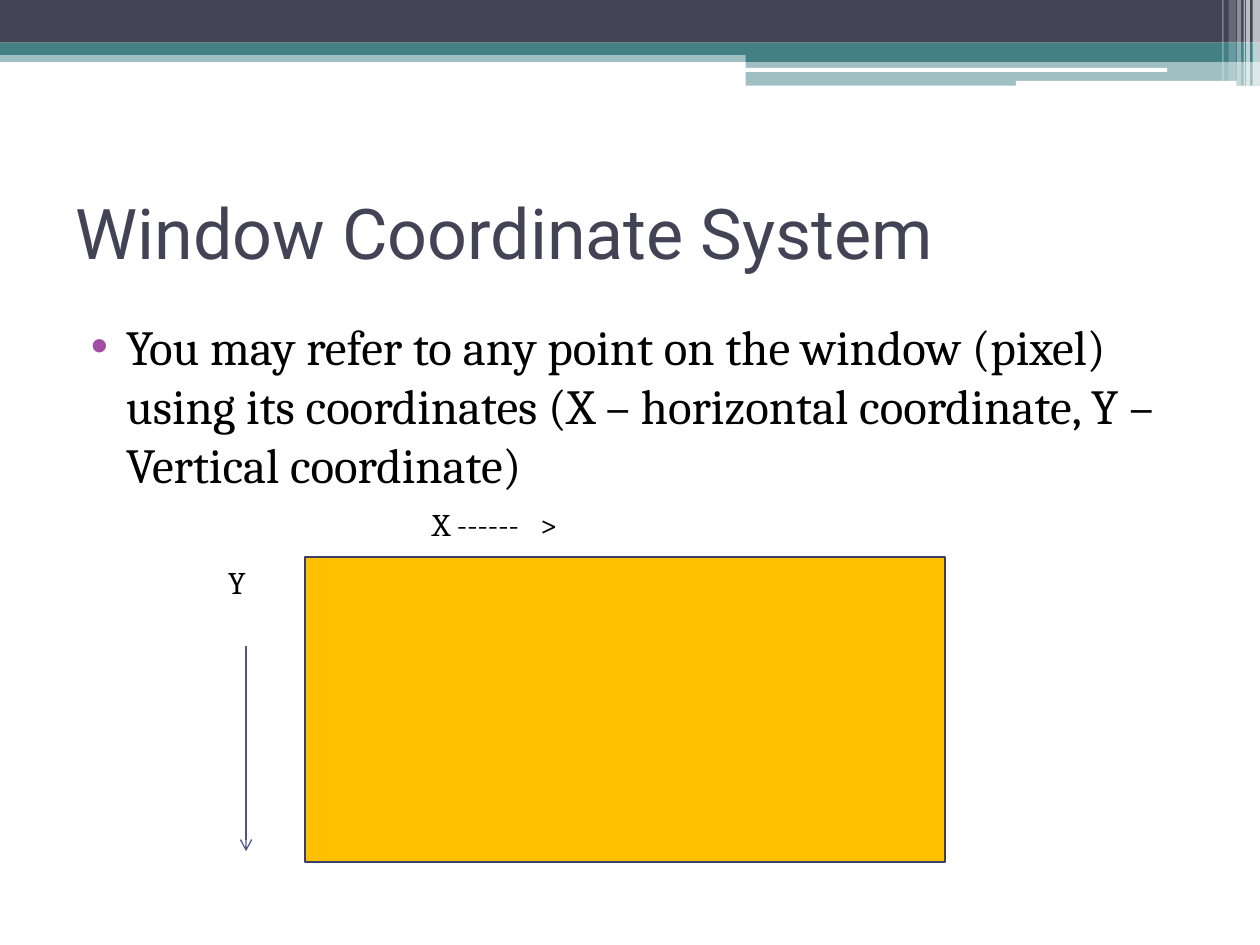
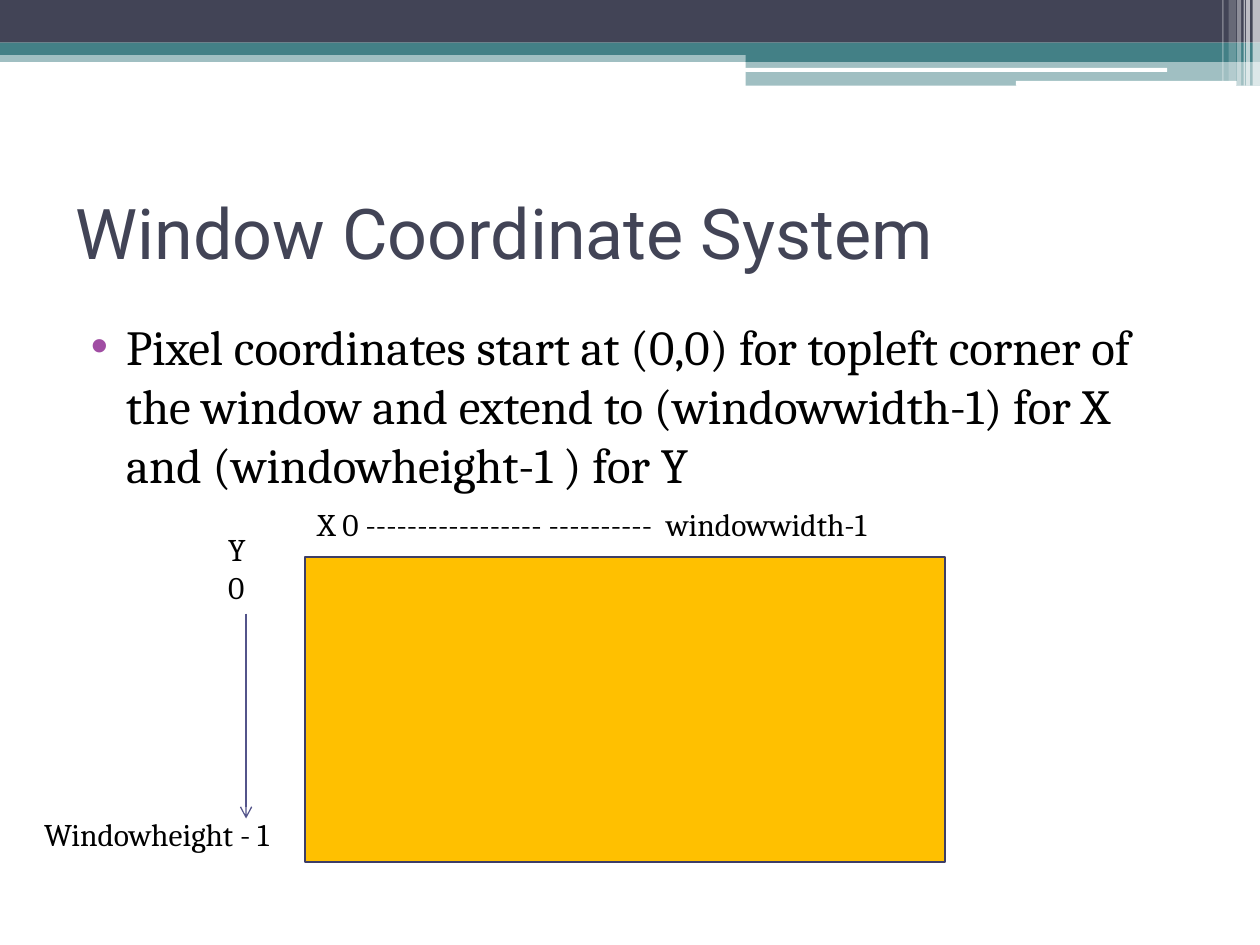
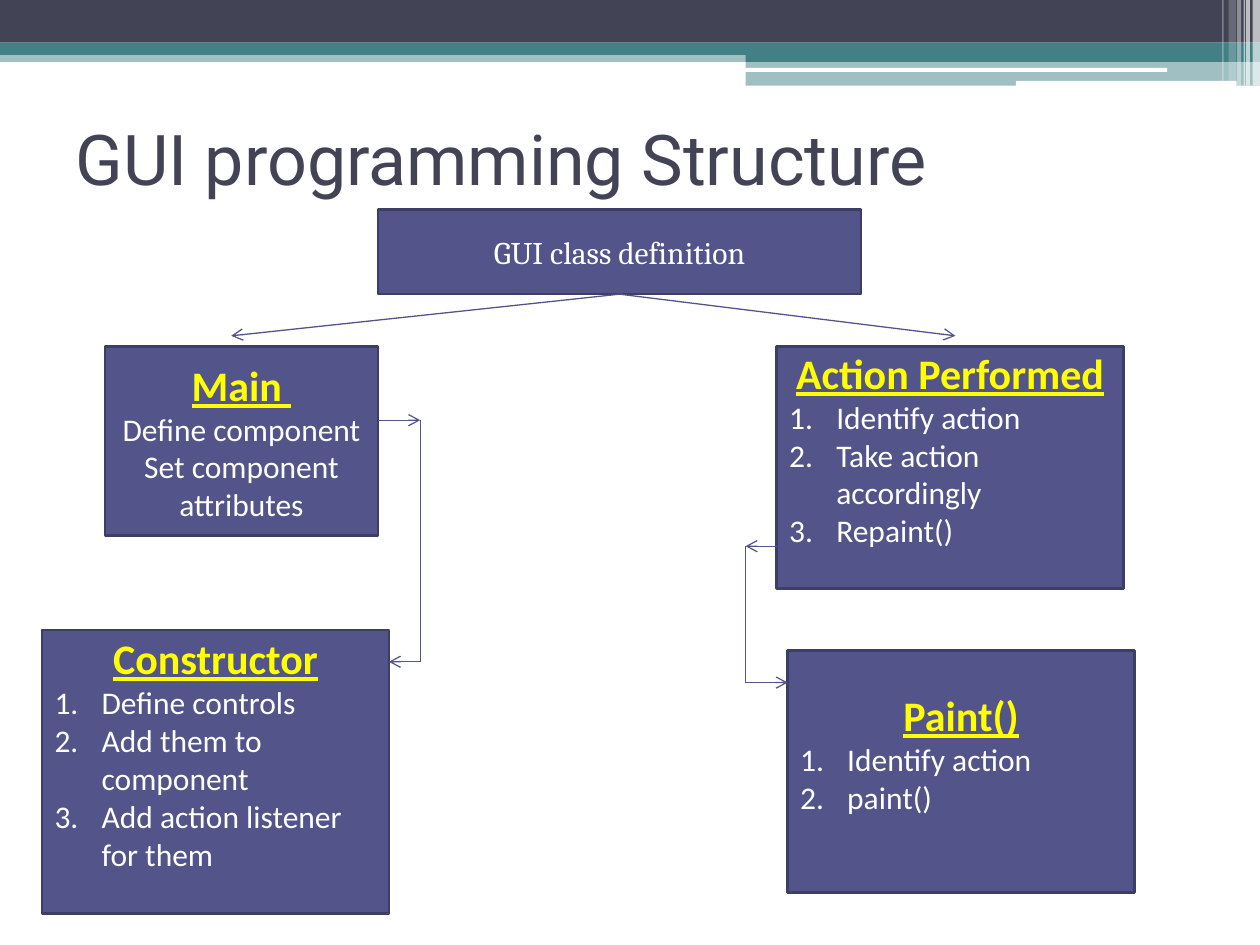
from dataclasses import dataclass

from lxml.etree import SubElement
from pptx import Presentation
from pptx.dml.color import RGBColor
from pptx.enum.shapes import MSO_CONNECTOR, MSO_SHAPE
from pptx.enum.text import MSO_ANCHOR, MSO_AUTO_SIZE, PP_ALIGN
from pptx.oxml.ns import qn
from pptx.util import Cm, Pt

SLATE, TEAL, WHITE, BLACK = "424456", "438086", "FFFFFF", "000000"
INDIGO, OUTLINE = "53548A", "3D3E66"
AMBER, YELLOW, PURPLE = "FFC000", "FFFF00", "A04DA3"
TITLE_FONT, TEXT_FONT, CARD_FONT = "Roboto", "Cambria", "Calibri"


@dataclass
class Box:
    """An area of the slide, in centimetres."""
    left: float
    top: float
    width: float
    height: float

    @property
    def right(self):
        return self.left + self.width

    @property
    def bottom(self):
        return self.top + self.height

    def inner(self, dx, dy, width, height):
        return Box(self.left + dx, self.top + dy, width, height)

    def lengths(self):
        return Cm(self.left), Cm(self.top), Cm(self.width), Cm(self.height)


SLIDE = Box(0, 0, 25.4, 19.05)
TITLE = Box(1.27, 3.18, 22.86, 2.97)
HIGH_TITLE = Box(1.27, 1.7, 22.86, 2.97)
BODY = Box(1.27, 6.25, 22.86, 4.11)
WINDOW = Box(6.15, 11.23, 12.9, 6.15)
STRUCTURE = Box(0.85, 4.23, 22.02, 14.19)


# Basic parts

def rgb(hex_code):
    return RGBColor.from_string(hex_code)


def add_run(paragraph, text, size, font=TEXT_FONT, color=BLACK, heading=False):
    run = paragraph.add_run()
    run.text = text
    run.font.size = Pt(size)
    run.font.name = font
    run.font.color.rgb = rgb(color)
    run.font.bold = run.font.underline = heading


def next_paragraph(frame, index):
    return frame.add_paragraph() if index else frame.paragraphs[0]


def hang(paragraph, margin, indent):
    properties = paragraph._p.get_or_add_pPr()
    properties.set("marL", str(Cm(margin)))
    properties.set("indent", str(Cm(-indent)))
    return properties


def add_panel(slide, box, fill, line=None, kind=MSO_SHAPE.RECTANGLE, opacity=100):
    panel = slide.shapes.add_shape(kind, *box.lengths())
    panel.shadow.inherit = False
    panel.fill.solid()
    panel.fill.fore_color.rgb = rgb(fill)
    if opacity < 100:
        color = panel.element.spPr.find(qn("a:solidFill"))[0]
        SubElement(color, qn("a:alpha"), val=str(opacity * 1000))
    if line:
        panel.line.color.rgb = rgb(line)
        panel.line.width = Pt(1.5)
    else:
        panel.line.fill.background()
    return panel


def add_line(slide, start, end, arrow=True):
    points = [Cm(value) for value in (*start, *end)]
    connector = slide.shapes.add_connector(MSO_CONNECTOR.STRAIGHT, *points)
    connector.line.width = Pt(0.75)
    connector.line.color.rgb = rgb(INDIGO)
    properties = connector.element.spPr
    if arrow:
        SubElement(properties.find(qn("a:ln")), qn("a:tailEnd"), type="arrow")
    SubElement(properties, qn("a:effectLst"))


def add_label(slide, box, *lines):
    frame = slide.shapes.add_textbox(*box.lengths()).text_frame
    frame.word_wrap = True
    for index, text in enumerate(lines):
        add_run(next_paragraph(frame, index), text, 18)


# Shared header, title and body

def add_header(slide, master, box):
    """Draw the header bands and hand them to the master."""
    rounded = MSO_SHAPE.ROUNDED_RECTANGLE
    bands = [
        (0, 1.02, 25.4, 0.23, TEAL, 50),
        (0, 0, 25.4, 0.86, SLATE, 100),
        (0, 0.86, 25.4, 0.25, TEAL, 100),
        (15.03, 1, 10.37, 0.25, TEAL, 100),
        (15.03, 1.23, 10.37, 0.5, TEAL, 50),
        (15.02, 1.37, 8.51, 0.08, WHITE, 100, rounded),
        (20.48, 1.63, 4.45, 0.1, WHITE, 100, rounded),
        (25.25, 0, 0.15, 1.73, WHITE, 65),
        (25.12, 0, 0.08, 1.73, WHITE, 65),
        (25.07, 0, 0.03, 1.73, WHITE, 60),
        (24.94, 0, 0.08, 1.73, WHITE, 40),
        (24.77, 0, 0.15, 1.63, WHITE, 20),
        (24.64, 0, 0.03, 1.63, WHITE, 30),
    ]
    for index, (*place, fill, opacity, kind) in enumerate(
            band if len(band) == 7 else (*band, MSO_SHAPE.RECTANGLE) for band in bands):
        band = add_panel(slide, box.inner(*place), fill, kind=kind, opacity=opacity)
        band.element.nvSpPr.cNvPr.id = 101 + index
        master.shapes.element.insert(2 + index, band.element)


def place(placeholder, box, anchor):
    placeholder.left, placeholder.top, placeholder.width, placeholder.height = box.lengths()
    frame = placeholder.text_frame
    frame.word_wrap = True
    frame.auto_size = MSO_AUTO_SIZE.NONE
    frame.vertical_anchor = anchor
    frame.paragraphs[0].alignment = PP_ALIGN.LEFT
    return frame.paragraphs[0]


def set_title(slide, box, text):
    paragraph = place(slide.shapes.title, box, MSO_ANCHOR.MIDDLE)
    add_run(paragraph, text, 40, TITLE_FONT, SLATE)


def set_body(slide, box, text):
    paragraph = place(slide.placeholders[1], box, MSO_ANCHOR.TOP)
    paragraph.space_before = Pt(3)
    add_run(paragraph, text, 28)
    properties = hang(paragraph, 1.02, 0.71)
    SubElement(SubElement(properties, qn("a:buClr")), qn("a:srgbClr"), val=PURPLE)
    SubElement(properties, qn("a:buChar"), char="•")


# Window coordinates

def add_window(slide, box, x_text, x_shift, y_lines, y_shift):
    add_panel(slide, box, AMBER, OUTLINE)
    add_label(slide, box.inner(x_shift, -1.17, box.width - x_shift, 1.02), x_text)
    y_label = box.inner(-1.8, y_shift, 1.22, 1.8)
    add_label(slide, y_label, *y_lines)
    axis = box.left - 1.19
    add_line(slide, (axis, y_label.bottom), (axis, y_label.bottom + 4.13))


def coordinate_slide(slide, text, *window_parts):
    set_title(slide, TITLE, "Window Coordinate System")
    set_body(slide, BODY, text)
    add_window(slide, WINDOW, *window_parts)


# Program structure

def add_card(slide, box, heading, lines, numbered=True):
    frame = add_panel(slide, box, INDIGO, OUTLINE).text_frame
    frame.word_wrap = True
    frame.vertical_anchor = MSO_ANCHOR.MIDDLE
    if numbered:
        frame.margin_bottom = Cm(0.9)
    title = frame.paragraphs[0]
    title.alignment = PP_ALIGN.CENTER
    add_run(title, heading, 24, CARD_FONT, YELLOW, heading=True)
    for text in lines:
        paragraph = frame.add_paragraph()
        paragraph.alignment = PP_ALIGN.LEFT if numbered else PP_ALIGN.CENTER
        add_run(paragraph, text, 18, CARD_FONT, WHITE)
        if numbered:
            properties = hang(paragraph, 0.95, 0.95)
            SubElement(properties, qn("a:buFont"), typeface="+mj-lt")
            SubElement(properties, qn("a:buAutoNum"), type="arabicPeriod")


def add_detour(slide, start, lane, end):
    """Leave a card sideways, follow a vertical lane, enter the next card."""
    turn, rejoin = (lane, start[1]), (lane, end[1])
    add_line(slide, start, turn)
    add_line(slide, turn, rejoin, arrow=False)
    add_line(slide, rejoin, end)


def add_structure(slide, box):
    definition = box.inner(6.77, 0, 9.74, 1.7)
    main_card = box.inner(1.27, 2.76, 5.5, 3.81)
    constructor = box.inner(0, 8.47, 6.99, 5.72)
    action = box.inner(14.81, 2.76, 6.99, 4.87)
    paint = box.inner(15.03, 8.89, 6.99, 4.87)

    # Class definition and its two branches
    frame = add_panel(slide, definition, INDIGO, OUTLINE).text_frame
    frame.word_wrap = True
    frame.vertical_anchor = MSO_ANCHOR.MIDDLE
    frame.paragraphs[0].alignment = PP_ALIGN.CENTER
    add_run(frame.paragraphs[0], "GUI class definition", 18, color=WHITE)
    fork = (definition.left + definition.width / 2, definition.bottom)
    for branch in (3.81, 18.41):
        add_line(slide, fork, (box.left + branch, box.top + 2.54))

    # Cards
    add_card(slide, main_card, "Main ",
             ["Define component", "Set component attributes"], numbered=False)
    add_card(slide, constructor, "Constructor",
             ["Define controls", "Add them to component", "Add action listener for them"])
    add_card(slide, action, "Action Performed",
             ["Identify action", "Take action accordingly", "Repaint()"])
    add_card(slide, paint, "Paint()", ["Identify action", "paint()"])

    # Control flow
    add_detour(slide, (main_card.right, main_card.top + 1.48), main_card.right + 0.85,
               (constructor.right, constructor.top + 0.64))
    add_detour(slide, (action.left, action.top + 4.02), action.left - 0.63,
               (paint.left, paint.top + 0.64))


def main():
    deck = Presentation()
    deck.slide_width, deck.slide_height = Cm(SLIDE.width), Cm(SLIDE.height)
    content_layout, title_layout = deck.slide_layouts[1], deck.slide_layouts[5]

    axes = deck.slides.add_slide(content_layout)
    add_header(axes, deck.slide_master, SLIDE)
    coordinate_slide(
        axes,
        "You may refer to any point on the window (pixel) using its coordinates "
        "(X – horizontal coordinate, Y – Vertical coordinate)",
        "X ------   >", 2.31, ["Y"], 0)

    limits = deck.slides.add_slide(content_layout)
    coordinate_slide(
        limits,
        "Pixel coordinates start at (0,0) for topleft corner of the window and "
        "extend to (windowwidth-1) for X and (windowheight-1 ) for Y",
        "X 0 ----------------- ----------  windowwidth-1", 0, ["Y", "0"], -0.66)
    add_label(limits, WINDOW.inner(-5.51, 5.08, 5.51, 1.02), "Windowheight - 1")

    structure = deck.slides.add_slide(title_layout)
    set_title(structure, HIGH_TITLE, "GUI programming Structure")
    add_structure(structure, STRUCTURE)

    deck.save("out.pptx")


if __name__ == "__main__":
    main()
